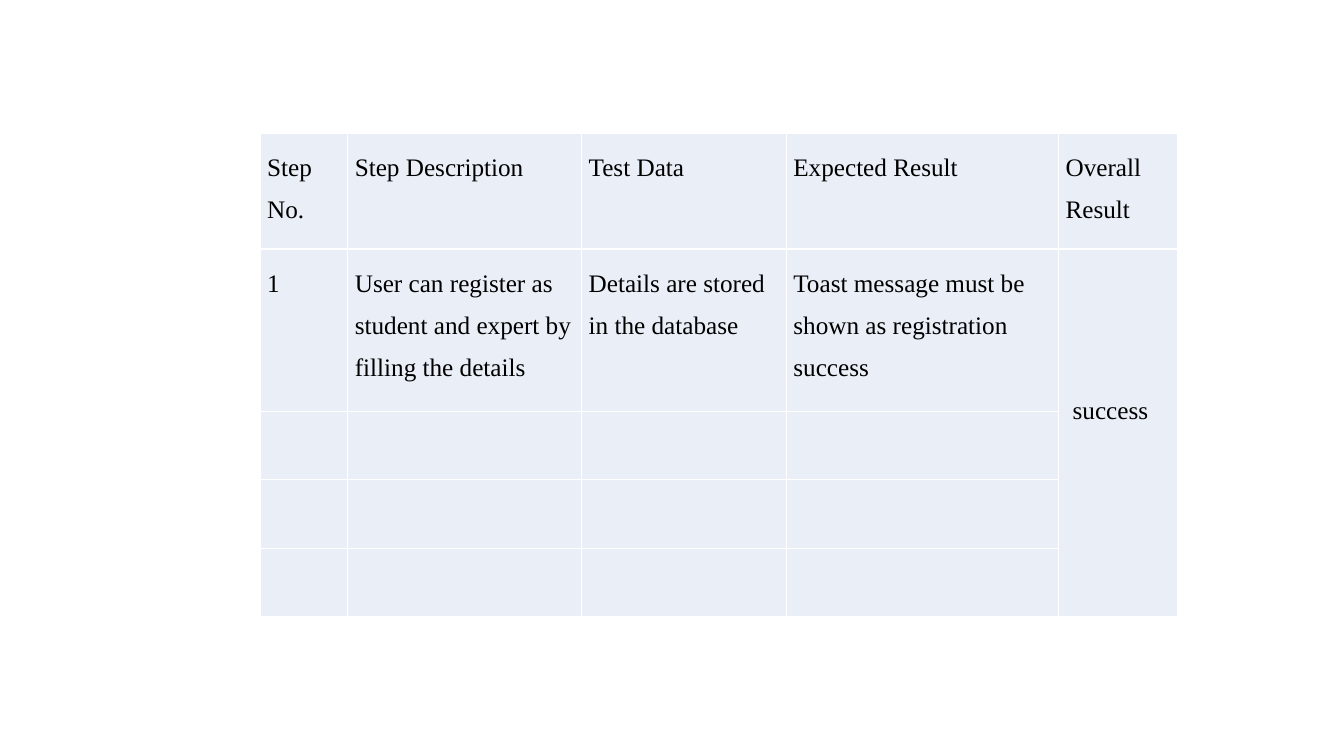
from lxml import etree
from pptx import Presentation, util as u
from pptx.dml.color import RGBColor
from pptx.oxml import ns

WHITE = RGBColor(0xFF, 0xFF, 0xFF)
BLACK = RGBColor(0x00, 0x00, 0x00)
PALE_BLUE = RGBColor(0xEA, 0xEF, 0xF7)
FONT = "Times New Roman"
SIZE = u.Pt(18)
PADDING = u.Inches(0.07)
LINE_STEP = u.Inches(0.42)

TABLE_LEFT, TABLE_TOP = u.Inches(2.58), u.Inches(1.32)
COLUMNS = [0.87, 2.32, 2.03, 2.7, 1.18]
ROWS = [1.15, 1.61] + [0.68] * 3

STEPS = [
    ["Step No.", "Step Description", "Test Data", "Expected Result", "Overall Result"],
    [
        "1",
        "User can register as student and expert by filling the details",
        "Details are stored in the database",
        "Toast message must be shown as registration success",
        "success",
    ],
]


def add_borders(cell):
    properties = cell._tc.get_or_add_tcPr()
    for position, side in enumerate(("lnL", "lnR", "lnT", "lnB")):
        line = etree.Element(ns.qn(f"a:{side}"), w=str(u.Pt(1)))
        fill = etree.SubElement(line, ns.qn("a:solidFill"))
        etree.SubElement(fill, ns.qn("a:srgbClr"), val=str(WHITE))
        properties.insert(position, line)


def style_cell(cell):
    cell.fill.solid()
    cell.fill.fore_color.rgb = PALE_BLUE
    cell.margin_left = cell.margin_right = PADDING
    cell.margin_top = cell.margin_bottom = PADDING
    add_borders(cell)


def write_cell(cell, words):
    cell.text_frame.text = words
    para = cell.text_frame.paragraphs[0]
    para.line_spacing = 1.5
    for span in para.runs:
        span.font.name = FONT
        span.font.size = SIZE
        span.font.color.rgb = BLACK


def add_step_table(page):
    frame = page.shapes.add_table(
        len(ROWS), len(COLUMNS), TABLE_LEFT, TABLE_TOP,
        u.Inches(sum(COLUMNS)), u.Inches(sum(ROWS)),
    )
    table = frame.table
    table.first_row = table.horz_banding = False
    for column, width in zip(table.columns, COLUMNS):
        column.width = u.Inches(width)
    for row, height in zip(table.rows, ROWS):
        row.height = u.Inches(height)
    for cell in table.iter_cells():
        style_cell(cell)
    for row, texts in enumerate(STEPS):
        for column, words in enumerate(texts):
            write_cell(table.cell(row, column), words)
    return table


def merge_result(table):
    last = len(COLUMNS) - 1
    result = table.cell(1, last)
    result.merge(table.cell(len(ROWS) - 1, last))
    result.margin_top = PADDING + 3 * LINE_STEP
    result.margin_left = 2 * PADDING


def main():
    deck = Presentation()
    deck.slide_width, deck.slide_height = u.Inches(13.33), u.Inches(7.5)
    page = deck.slides.add_slide(deck.slide_layouts[6])
    merge_result(add_step_table(page))
    deck.save("out.pptx")


if __name__ == "__main__":
    main()
